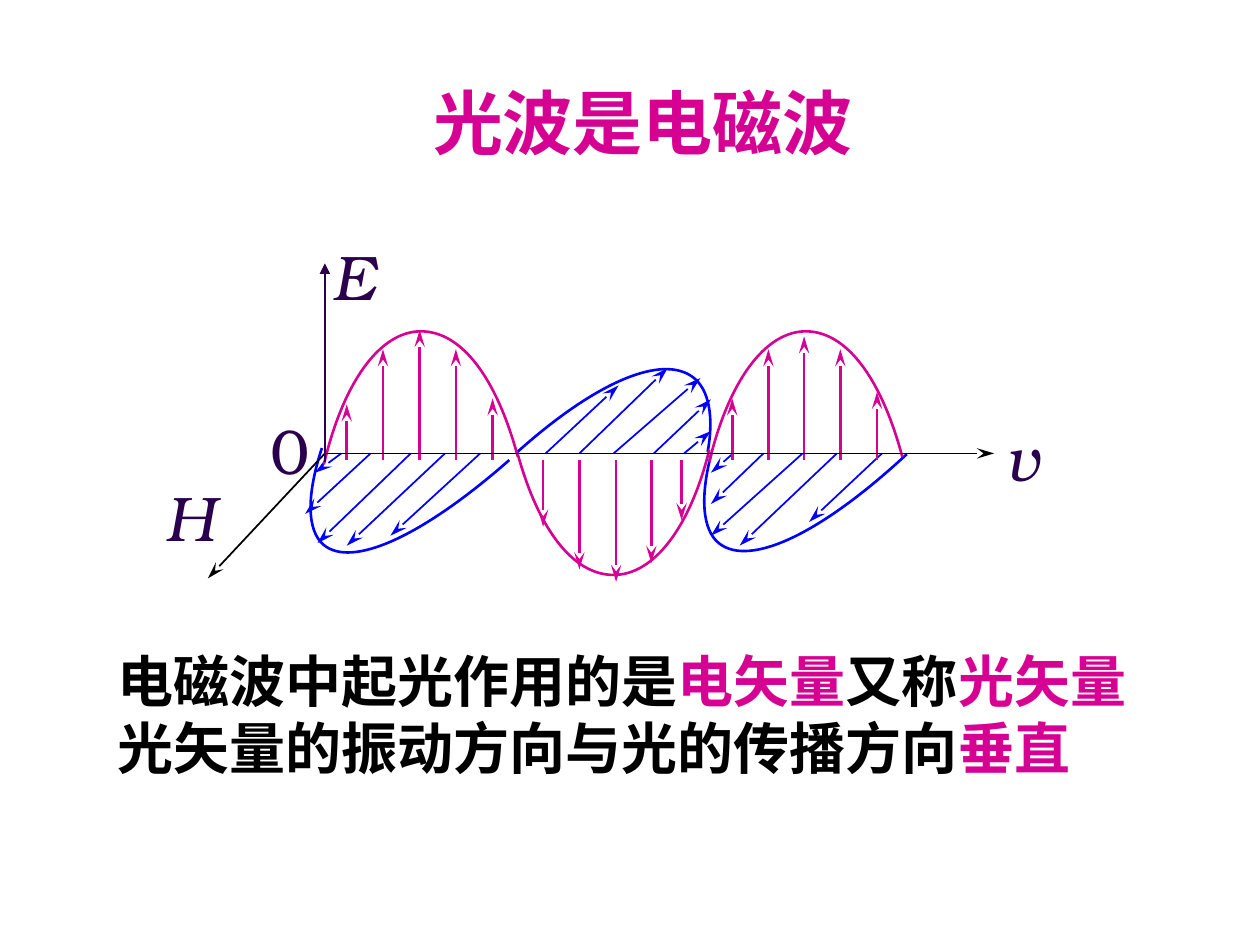
from copy import deepcopy

from lxml import etree
from pptx import Presentation
from pptx.dml.color import RGBColor
from pptx.enum.shapes import MSO_CONNECTOR
from pptx.enum.text import MSO_ANCHOR, MSO_AUTO_SIZE, PP_ALIGN
from pptx.oxml.ns import qn
from pptx.util import Cm, Pt

STRAIGHT = MSO_CONNECTOR.STRAIGHT
TOP = MSO_ANCHOR.TOP
LEFT = PP_ALIGN.LEFT
GROW = MSO_AUTO_SIZE.SHAPE_TO_FIT_TEXT

THEME = {
    "accent": "D60093", "magnetic": "0000FF", "ink": "000000", "label": "2A004E",
    "han": "Noto Sans CJK SC", "latin": "TeX Gyre Bonum",
    "title": 40, "body": 32, "symbol": 36,
    "thin": 1, "thick": 1.5, "leading": 1.2,
}

TITLE = [[("光波是电磁波", "accent")]]
TITLE_BOX = (8.48, 1.47, 8.97, 1.96)
BODY = [
    [("电磁波中起光作用的是", "ink"), ("电矢量", "accent"), ("又称", "ink"), ("光矢量", "accent")],
    [("光矢量的振动方向与光的传播方向", "ink"), ("垂直", "accent")],
]
BODY_BOX = (2.11, 12.9, 20.96, 2.97)
SYMBOLS = [
    ("E", True, (6.45, 4.67, 1.37, 1.78)),
    ("v", True, (20.02, 8.31, 1.19, 1.78)),
    ("0", False, (5.21, 8.18, 1.3, 1.78)),
    ("H", True, (3.08, 9.53, 1.52, 1.78)),
]

AXIS_Y = 9.14
ELECTRIC_BASE = 9.27
ORIGIN = (6.55, AXIS_Y)
AXES = [
    (ORIGIN, (20.04, AXIS_Y), "ink", "stealth", "lg"),
    (ORIGIN, (4.19, 11.66), "ink", "stealth", "lg"),
    ((6.55, 9.32), (6.55, 5.31), "label", "triangle", "med"),
]

# Each wave: box, rotation, then start height, crest place and end height as shares of the box.
MAGNETIC_WAVES = [
    ((15.49, 4.45, 3.12, 7.49), 218, (0.5, 0.6, 0.18)),
    ((9.98, 6.63, 3.02, 7.16), 38, (0.47, 0.62, 0.14)),
    ((7.44, 4.95, 3.05, 7.01), 220, (0.53, 0.58, 0.21)),
]
ELECTRIC_WAVES = [
    ((6.53, 6.68, 3.91, 5.16), 0, (0.52, 0.5, 0.49)),
    ((14.3, 6.68, 3.89, 5.16), 0, (0.51, 0.5, 0.49)),
    ((10.44, 6.43, 3.86, 5.16), 180, (0.49, 0.5, 0.47)),
]
MAGNETIC_BULGE = (0.35, 0.71)
ELECTRIC_BULGE = (0.42, 0.78)
MAGNETIC_VECTORS = [
    (6.88, (6.35, 9.53)), (7.47, (6.15, 10.36)), (8.28, (6.4, 10.95)),
    (8.97, (6.99, 11)), (9.68, (7.87, 10.8)),
    (11, (12.47, 7.77)), (11.68, (13.46, 7.42)), (12.37, (14.12, 7.62)),
    (13.18, (14.33, 8.05)), (13.79, (14.33, 8.69)),
    (14.78, (14.33, 9.53)), (15.39, (14.33, 10.16)), (16.18, (14.33, 10.8)),
    (16.87, (14.91, 11)), (17.78, (16.31, 10.52)),
]
ELECTRIC_VECTORS = [
    (6.99, 8.15), (7.72, 7.04), (8.46, 6.65), (9.19, 7.04), (9.93, 8.03),
    (10.95, 10.62), (11.68, 11.48), (12.42, 11.73), (13.13, 11.35), (13.74, 10.49),
    (14.76, 8.03), (15.49, 7.04), (16.21, 6.78), (16.94, 7.04), (17.68, 7.9),
]


def color(role):
    return RGBColor.from_string(THEME[role])


def apply(target, values):
    for key, value in values.items():
        setattr(target, key, value)


def place(part, box):
    apply(part, dict(zip(("left", "top", "width", "height"), map(Cm, box))))


def style_run(run, font_name, size, role, **emphasis):
    apply(run.font, {"name": font_name, "size": Pt(size), **emphasis})
    run.font.color.rgb = color(role)
    east_asian = etree.SubElement(run.font._element, qn("a:ea"))
    east_asian.set("typeface", font_name)


def write_han(part, lines, size, wrap):
    frame = part.text_frame
    apply(frame, {"word_wrap": wrap, "auto_size": GROW, "vertical_anchor": TOP,
                  "margin_left": Cm(0.25), "margin_right": Cm(0.25),
                  "margin_top": Cm(0.13), "margin_bottom": Cm(0.13)})
    for index, line in enumerate(lines):
        paragraph = frame.add_paragraph() if index else frame.paragraphs[0]
        apply(paragraph, {"alignment": LEFT, "line_spacing": Pt(size * THEME["leading"])})
        for words, role in line:
            run = paragraph.add_run()
            run.text = words
            style_run(run, THEME["han"], size, role, bold=True)


def add_symbol(slide, letter, italic, box):
    symbol = slide.shapes.add_textbox(*map(Cm, box))
    apply(symbol.text_frame, {"word_wrap": False, "auto_size": GROW})
    run = symbol.text_frame.paragraphs[0].add_run()
    run.text = letter
    style_run(run, THEME["latin"], THEME["symbol"], "label", italic=italic)


def add_arrow(slide, start, tip, role, weight, head="stealth", length="lg"):
    arrow = slide.shapes.add_connector(STRAIGHT, *map(Cm, (*start, *tip)))
    arrow.line.color.rgb = color(role)
    arrow.line.width = Pt(THEME[weight])
    tail = etree.SubElement(arrow.line._get_or_add_ln(), qn("a:tailEnd"))
    for key, value in {"type": head, "w": "med", "len": length}.items():
        tail.set(key, value)
    etree.SubElement(arrow._element.spPr, qn("a:effectLst"))


def bend_path(wave):
    path = next(wave._element.iter(qn("a:path")))
    points = list(path.iter(qn("a:pt")))
    for step in list(path):
        path.remove(step)
    for tag, first, last in (("a:moveTo", 0, 1), ("a:cubicBezTo", 1, 4), ("a:cubicBezTo", 4, 7)):
        etree.SubElement(path, qn(tag)).extend(points[first:last])
    sector = deepcopy(path)
    path.set("fill", "none")
    sector.set("stroke", "0")
    etree.SubElement(sector, qn("a:lnTo")).append(points[7])
    etree.SubElement(sector, qn("a:close"))
    path.addnext(sector)


def add_wave(slide, box, rotation, profile, bulge, role):
    left, top, width, height = box
    start, crest, end = profile
    near, far = (crest + (1 - crest) * share for share in bulge)
    shares = [(0, start), (0.2 * crest, 0.38 * start), (0.58 * crest, 0), (crest, 0),
              (near, 0), (far, 0.37 * end), (1, end), (crest, 1)]
    points = [(Cm(left + width * x), Cm(top + height * y)) for x, y in shares]
    builder = slide.shapes.build_freeform(*points[0])
    builder.add_line_segments(points[1:], close=True)
    wave = builder.convert_to_shape()
    bend_path(wave)
    wave.rotation = rotation
    wave.fill.background()
    wave.line.color.rgb = color(role)
    wave.line.width = Pt(THEME["thick"])
    wave.shadow.inherit = False


def main():
    deck = Presentation()
    apply(deck, {"slide_width": Cm(25.4), "slide_height": Cm(19.05)})
    slide = deck.slides.add_slide(deck.slide_layouts[5])

    title = slide.shapes.title
    place(title, TITLE_BOX)
    write_han(title, TITLE, THEME["title"], False)

    for wave in MAGNETIC_WAVES:
        add_wave(slide, *wave, MAGNETIC_BULGE, "magnetic")
    for x, tip in MAGNETIC_VECTORS:
        add_arrow(slide, (x, AXIS_Y), tip, "magnetic", "thin")
    for wave in ELECTRIC_WAVES:
        add_wave(slide, *wave, ELECTRIC_BULGE, "accent")
    for x, tip_y in ELECTRIC_VECTORS:
        add_arrow(slide, (x, ELECTRIC_BASE), (x, tip_y), "accent", "thick")
    for start, tip, role, head, length in AXES:
        add_arrow(slide, start, tip, role, "thin", head, length)
    for symbol in SYMBOLS:
        add_symbol(slide, *symbol)

    body = slide.shapes.add_textbox(*map(Cm, BODY_BOX))
    write_han(body, BODY, THEME["body"], True)
    deck.save("out.pptx")


if __name__ == "__main__":
    main()
